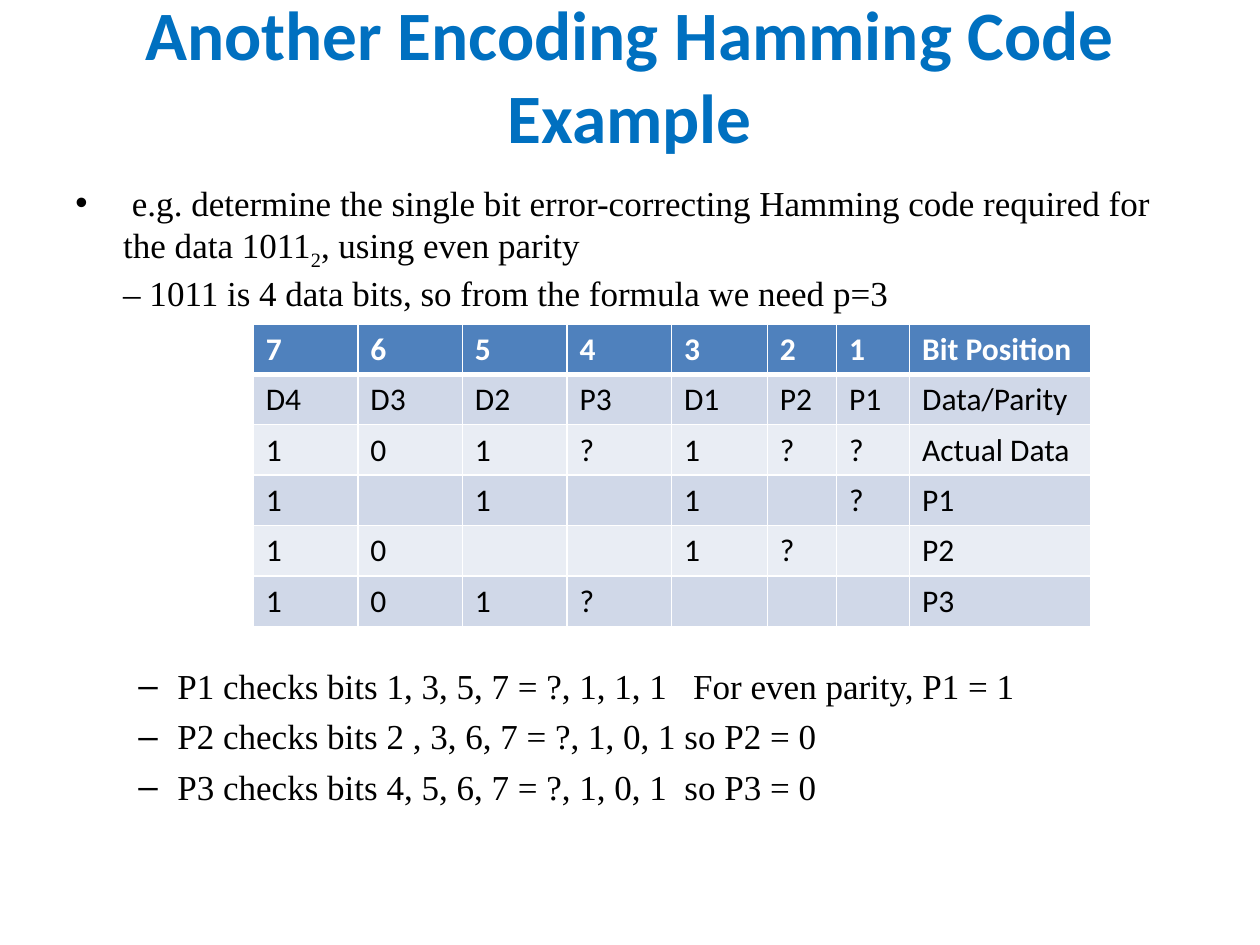
from dataclasses import dataclass

from lxml.etree import SubElement
from pptx import Presentation
from pptx.dml.color import RGBColor as Color
from pptx.enum.text import MSO_ANCHOR as Anchor, PP_ALIGN as Align
from pptx.oxml.ns import qn
from pptx.util import Inches, Pt


@dataclass(frozen=True)
class Theme:
    title_color: str = "0070C0"
    text_color: str = "000000"
    header_text: str = "FFFFFF"
    header_fill: str = "4F81BD"
    band_fills: tuple = ("D0D8E8", "E9EDF4")
    border: str = "FFFFFF"
    heading_font: str = "Calibri"
    body_font: str = "Times New Roman"
    title_size: float = 39.6
    body_size: float = 20
    table_size: float = 18


THEME = Theme()

COLUMN_WIDTHS = [0.83] * 4 + [0.76, 0.55, 0.58, 1.44]
ROW_HEIGHT = 0.4
BIT_ROWS = [
    ["7", "6", "5", "4", "3", "2", "1", "Bit Position"],
    ["D4", "D3", "D2", "P3", "D1", "P2", "P1", "Data/Parity"],
    ["1", "0", "1", "?", "1", "?", "?", "Actual Data"],
    ["1", "", "1", "", "1", "", "?", "P1"],
    ["1", "0", "", "", "1", "?", "", "P2"],
    ["1", "0", "1", "?", "", "", "", "P3"],
]
PARITY_CHECKS = [
    "P1 checks bits 1, 3, 5, 7 = ?, 1, 1, 1   For even parity, P1 = 1",
    "P2 checks bits 2 , 3, 6, 7 = ?, 1, 0, 1 so P2 = 0",
    "P3 checks bits 4, 5, 6, 7 = ?, 1, 0, 1  so P3 = 0",
]


def format_runs(paragraph, font, size, color, bold=False):
    for run in paragraph.runs:
        run.font.name = font
        run.font.size = Pt(size)
        run.font.color.rgb = Color.from_string(color)
        run.font.bold = bold


def add_text_frame(slide, left, top, width, height):
    box = slide.shapes.add_textbox(*map(Inches, (left, top, width, height)))
    box.text_frame.word_wrap = True
    return box.text_frame


def set_bullet(paragraph, character, margin, hanging, space_before):
    paragraph.space_before = Pt(space_before)
    properties = paragraph._p.get_or_add_pPr()
    properties.set("marL", str(Inches(margin)))
    properties.set("indent", str(-Inches(hanging)))
    SubElement(properties, qn("a:buFont"), typeface="Arial")
    SubElement(properties, qn("a:buChar"), char=character)


def add_title(slide):
    frame = add_text_frame(slide, 0.5, 0.3, 9, 1.25)
    frame.vertical_anchor = Anchor.MIDDLE
    frame.margin_bottom = Inches(0.72)
    paragraph = frame.paragraphs[0]
    paragraph.text = "Another Encoding Hamming Code Example"
    paragraph.alignment = Align.CENTER
    format_runs(paragraph, THEME.heading_font, THEME.title_size, THEME.title_color, True)


def add_body(slide):
    frame = add_text_frame(slide, 0.5, 1.39, 9, 5.31)
    task = frame.paragraphs[0]
    task.text = " e.g. determine the single bit error-correcting Hamming code required for the data 1011"
    subscript = task.add_run()
    subscript.text = "2"
    subscript.font._element.set("baseline", "-25000")
    task.add_run().text = ", using even parity "
    task.add_line_break()
    task.add_run().text = "– 1011 is 4 data bits, so from the formula we need p=3"
    set_bullet(task, "•", 0.38, 0.38, 4.6)

    for index, check in enumerate(PARITY_CHECKS):
        paragraph = frame.add_paragraph()
        paragraph.text = check
        paragraph.level = 1
        set_bullet(paragraph, "–", 0.81, 0.31, 4.6 if index else 201)

    for paragraph in frame.paragraphs:
        format_runs(paragraph, THEME.body_font, THEME.body_size, THEME.text_color)


def set_borders(cell, bottom_width):
    properties = cell._tc.get_or_add_tcPr()
    for side, width in (("L", 1), ("R", 1), ("T", 1), ("B", bottom_width)):
        line = SubElement(properties, qn(f"a:ln{side}"), w=str(Pt(width)))
        fill = SubElement(line, qn("a:solidFill"))
        SubElement(fill, qn("a:srgbClr"), val=THEME.border)


def style_cell(cell, text, row_index):
    is_header = row_index == 0
    fill = THEME.header_fill if is_header else THEME.band_fills[(row_index - 1) % 2]
    color = THEME.header_text if is_header else THEME.text_color
    set_borders(cell, 3 if is_header else 1)
    cell.fill.solid()
    cell.fill.fore_color.rgb = Color.from_string(fill)
    paragraph = cell.text_frame.paragraphs[0]
    paragraph.font.size = Pt(THEME.table_size)
    if text:
        paragraph.text = text
        format_runs(paragraph, THEME.heading_font, THEME.table_size, color, is_header)


def add_bit_table(slide):
    width, height = sum(COLUMN_WIDTHS), ROW_HEIGHT * len(BIT_ROWS)
    table = slide.shapes.add_table(
        len(BIT_ROWS), len(COLUMN_WIDTHS),
        Inches(2.01), Inches(2.57), Inches(width), Inches(height),
    ).table
    for column, column_width in zip(table.columns, COLUMN_WIDTHS):
        column.width = Inches(column_width)
    for row_index, values in enumerate(BIT_ROWS):
        table.rows[row_index].height = Inches(ROW_HEIGHT)
        for column_index, text in enumerate(values):
            style_cell(table.cell(row_index, column_index), text, row_index)


def main():
    presentation = Presentation()
    presentation.slide_width = Inches(10)
    presentation.slide_height = Inches(7.5)
    slide = presentation.slides.add_slide(presentation.slide_layouts[6])
    add_title(slide)
    add_body(slide)
    add_bit_table(slide)
    presentation.save("out.pptx")


if __name__ == "__main__":
    main()
